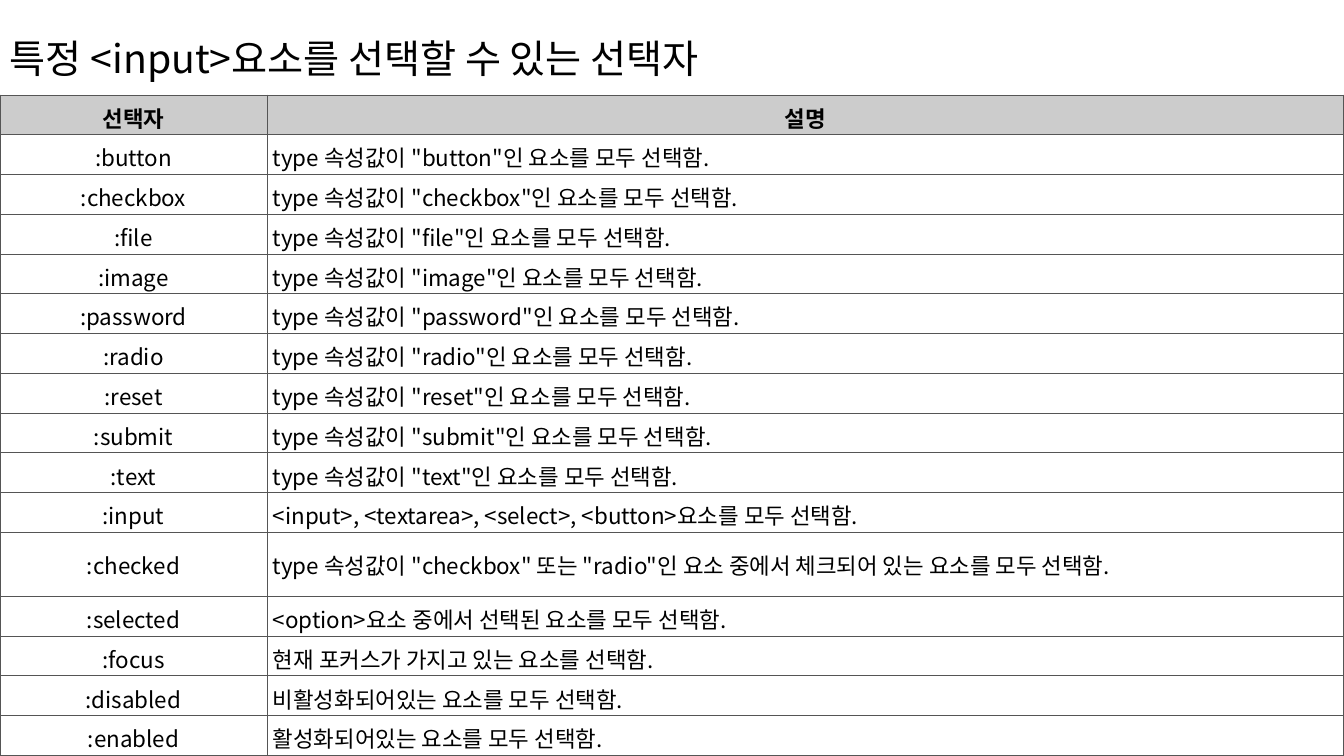
from lxml import etree
from pptx import Presentation
from pptx import util as u
from pptx.dml.color import RGBColor
from pptx.enum import text
from pptx.oxml import ns

SCALE = 914400 / 100.8
FONT = "Noto Sans CJK KR"
COLORS = {"text": "000000", "header": "CCCCCC", "body": "FFFFFF", "border": "555555"}

TITLE = "특정 <input>요소를 선택할 수 있는 선택자"
HEADER = ("선택자", "설명")
INPUT_TYPES = ["button", "checkbox", "file", "image", "password",
               "radio", "reset", "submit", "text"]
SELECTORS = [(f":{name}", f'type 속성값이 "{name}"인 요소를 모두 선택함.') for name in INPUT_TYPES] + [
    (":input", "<input>, <textarea>, <select>, <button>요소를 모두 선택함."),
    (":checked", 'type 속성값이 "checkbox" 또는 "radio"인 요소 중에서 체크되어 있는 요소를 모두 선택함.'),
    (":selected", "<option>요소 중에서 선택된 요소를 모두 선택함."),
    (":focus", "현재 포커스가 가지고 있는 요소를 선택함."),
    (":disabled", "비활성화되어있는 요소를 모두 선택함."),
    (":enabled", "활성화되어있는 요소를 모두 선택함."),
]


def px(length):
    return u.Emu(round(length * SCALE))


def add_run(paragraph, words, size, bold=False):
    run = paragraph.add_run()
    run.text = words
    run.font.size = u.Pt(size)
    run.font.bold = bold
    run.font.name = FONT
    run.font.color.rgb = RGBColor.from_string(COLORS["text"])


def add_borders(cell):
    properties = cell._tc.get_or_add_tcPr()
    for position, side in enumerate(("a:lnL", "a:lnR", "a:lnT", "a:lnB")):
        line = etree.Element(ns.qn(side), w=str(u.Pt(0.75)))
        fill = etree.SubElement(line, ns.qn("a:solidFill"))
        etree.SubElement(fill, ns.qn("a:srgbClr"), val=COLORS["border"])
        properties.insert(position, line)


def fill_cell(cell, words, color, bottom_margin, centered, bold):
    cell.fill.solid()
    cell.fill.fore_color.rgb = RGBColor.from_string(color)
    cell.vertical_anchor = text.MSO_ANCHOR.MIDDLE
    cell.margin_left = cell.margin_right = cell.margin_top = px(6)
    cell.margin_bottom = px(bottom_margin)
    paragraph = cell.text_frame.paragraphs[0]
    paragraph.alignment = text.PP_ALIGN.CENTER if centered else text.PP_ALIGN.LEFT
    add_run(paragraph, words, 16, bold)
    add_borders(cell)


def add_title(slide, left, top, width, height):
    frame = slide.shapes.add_textbox(px(left), px(top), px(width), px(height)).text_frame
    frame.word_wrap = False
    frame.auto_size = text.MSO_AUTO_SIZE.SHAPE_TO_FIT_TEXT
    add_run(frame.paragraphs[0], TITLE, 28)


def add_selector_table(slide, left, top, width, height):
    rows = [HEADER] + SELECTORS
    table = slide.shapes.add_table(len(rows), len(HEADER), px(left), px(top),
                                   px(width), px(height)).table
    table.first_row = table.horz_banding = False
    selector_width, tall_row = 267, 64
    table.columns[0].width = px(selector_width)
    table.columns[1].width = px(width - selector_width)
    row_height = (height - tall_row) / (len(rows) - 1)
    for row_index, values in enumerate(rows):
        is_header = row_index == 0
        is_tall = values[0] == ":checked"
        table.rows[row_index].height = px(tall_row if is_tall else row_height)
        for column_index, words in enumerate(values):
            fill_cell(table.cell(row_index, column_index), words,
                      COLORS["header" if is_header else "body"],
                      bottom_margin=6 if is_tall else 1,
                      centered=is_header or column_index == 0, bold=is_header)


def main():
    presentation = Presentation()
    presentation.slide_width, presentation.slide_height = px(1344), px(756)
    slide = presentation.slides.add_slide(presentation.slide_layouts[6])
    add_selector_table(slide, 0, 95, 1344, 661)
    add_title(slide, 0, 29, 744, 57)
    presentation.save("out.pptx")


if __name__ == "__main__":
    main()
